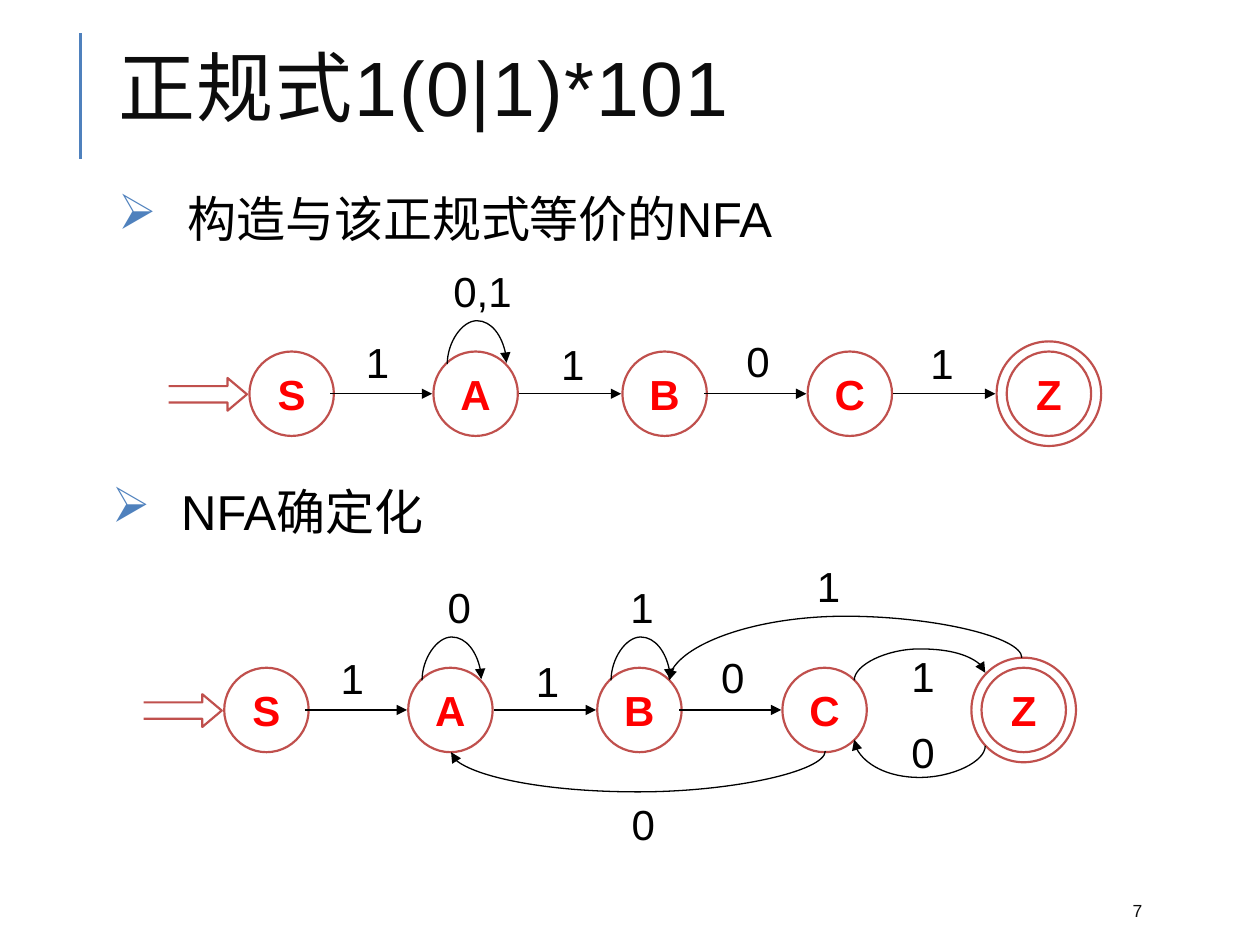
from lxml import etree
from pptx import Presentation
from pptx.dml.color import RGBColor
from pptx.enum.shapes import MSO_CONNECTOR, MSO_SHAPE
from pptx.enum.text import MSO_ANCHOR, PP_ALIGN
from pptx.oxml.ns import qn
from pptx.util import Inches, Pt

STRAIGHT, CURVE = MSO_CONNECTOR.STRAIGHT, MSO_CONNECTOR.CURVE
OVAL, ARROW, RECT = MSO_SHAPE.OVAL, MSO_SHAPE.RIGHT_ARROW, MSO_SHAPE.RECTANGLE
MIDDLE, TOP = MSO_ANCHOR.MIDDLE, MSO_ANCHOR.TOP
CENTER, LEFT = PP_ALIGN.CENTER, PP_ALIGN.LEFT

WIDTH, HEIGHT = 10, 7.5
BLUE, BRICK, RED, BLACK, INK, WHITE = "4F81BD", "C0504D", "FF0000", "000000", "0D0D0D", "FFFFFF"
SIZE, RING_GAP, ARROW_LENGTH = 0.67, 0.08, 0.81
STATES = {"S": 0, "A": 1.46, "B": 2.96, "C": 4.43, "Z": 6.01}
STEP_LABELS = [("1", 1.0, 0.08), ("1", 2.55, 0.1), ("0", 4.02, 0.07)]


def color(value):
    """Turn a hex string into a colour."""
    return RGBColor.from_string(value)


def write(box, text, size, ink, align=LEFT, anchor=TOP, bold=False):
    """Write one paragraph into a shape and return it."""
    frame = box.text_frame
    frame.vertical_anchor = anchor
    para = frame.paragraphs[0]
    para.text = text
    para.alignment = align
    font = para.font
    font.name, font.size, font.bold = "Arial", Pt(size), bold
    font.color.rgb = color(ink)
    return para


def add_text(parent, box, text, size, ink, **style):
    """Add a wrapping text box and return its paragraph."""
    shape = parent.shapes.add_textbox(*map(Inches, box))
    shape.text_frame.word_wrap = True
    return write(shape, text, size, ink, **style)


def add_outline(parent, kind, box, line=BRICK):
    """Add a white preset shape with an optional outline."""
    shape = parent.shapes.add_shape(kind, *map(Inches, box))
    shape.shadow.inherit = False
    shape.fill.solid()
    shape.fill.fore_color.rgb = color(WHITE)
    if line:
        shape.line.color.rgb = color(line)
        shape.line.width = Pt(1.25)
    else:
        shape.line.fill.background()
    return shape


def add_line(parent, kind, ends, ink=BLACK, width=0.75, head=True):
    """Add a connector, with an arrowhead if wanted."""
    line = parent.shapes.add_connector(kind, *map(Inches, ends))
    line.line.color.rgb = color(ink)
    line.line.width = Pt(width)
    if head:
        etree.SubElement(line.line._get_or_add_ln(), qn("a:tailEnd"), type="triangle")
    etree.SubElement(line._element.spPr, qn("a:effectLst"))
    return line


def add_arc(parent, start, end, peak):
    """Add a curved arrow that leaves and arrives vertically, turning at the peak height."""
    (x1, y1), (x2, y2) = start, end
    run, rise = abs(x2 - x1), abs(y2 - y1)
    left, top = (x1 + x2 - rise) / 2, (y1 + y2 - run) / 2
    arc = add_line(parent, CURVE, (left, top, left + rise, top + run))
    frame = arc._element.spPr.find(qn("a:xfrm"))
    frame.set("rot", "5400000")
    if y2 < y1:
        frame.set("flipH", "1")
    if x2 > x1:
        frame.set("flipV", "1")
    bend = round((peak - y1) / (y2 - y1) * 100000)
    guides = arc._element.spPr.find(qn("a:prstGeom")).find(qn("a:avLst"))
    etree.SubElement(guides, qn("a:gd"), name="adj1", fmla=f"val {bend}")


def add_heading(page, left, top, text):
    """Place the title beside its vertical rule."""
    add_line(page, STRAIGHT, (left, top + 1, left, top), BLUE, 1.5, head=False)
    para = add_text(page, (left + 0.2, top, 0.85 * WIDTH, 0.98), text, 44, INK, anchor=MIDDLE)
    para.line_spacing = 0.8
    para.runs[0].font._element.set("spc", "100")


def add_bullet(page, left, top, text):
    """Place one bulleted line."""
    para = add_text(page, (left, top, 0.85 * WIDTH, 0.1 * HEIGHT), text, 28, BLACK)
    props = para._p.get_or_add_pPr()
    props.set("marL", str(Inches(0.55)))
    props.set("indent", str(Inches(-0.55)))
    tint = etree.Element(qn("a:buClr"))
    etree.SubElement(tint, qn("a:srgbClr"), val=BLUE)
    mark = etree.Element(qn("a:buChar"), char="➢")
    props.insert(0, tint)
    props.insert(1, mark)


def add_automaton(page, left, top, labels, loops, arcs):
    """Place a five-state automaton whose first state starts at left, top."""
    group = page.shapes.add_group_shape()
    entry = add_outline(group, ARROW, (left - 0.77, top + 0.21, 0.75, 0.26))
    entry.adjustments[0], entry.adjustments[1] = 0.5, 0.593
    add_outline(group, RECT, (left - 0.8, top + 0.23, 0.16, 0.21), line=None)

    for name, offset in STATES.items():
        x, edge, y = left + offset, left + offset, top + SIZE / 2
        if name == "Z":
            edge -= RING_GAP
            ring = SIZE + 2 * RING_GAP
            add_outline(group, OVAL, (edge, top - RING_GAP, ring, ring))
        state = add_outline(group, OVAL, (x, top, SIZE, SIZE))
        state.text_frame.word_wrap = False
        write(state, name, 24, RED, align=CENTER, anchor=MIDDLE, bold=True)
        if name != "S" and not (name == "Z" and arcs):
            tip = edge - 0.01
            add_line(group, STRAIGHT, (tip - ARROW_LENGTH, y, tip, y))

    turns = [((STATES[name] + 0.11, 0.1), (STATES[name] + 0.58, 0.09), -0.25) for name in loops]
    for start, end, peak in turns + arcs:
        add_arc(group, (left + start[0], top + start[1]), (left + end[0], top + end[1]), top + peak)
    for text, x, y in STEP_LABELS + labels:
        width = 0.35 if len(text) == 1 else 0.69
        add_text(group, (left + x - width / 2, top + y - 0.25, width, 0.5),
                 text, 24, BLACK, align=CENTER)


def main():
    """Build the slide and save it."""
    deck = Presentation()
    deck.slide_width, deck.slide_height = Inches(WIDTH), Inches(HEIGHT)
    page = deck.slides.add_slide(deck.slide_layouts[6])
    add_heading(page, 0.64, 0.26, "正规式1(0|1)*101")
    add_bullet(page, 0.84, 1.45, "构造与该正规式等价的NFA")
    add_automaton(page, 1.98, 2.79, [("0,1", 1.85, -0.48), ("1", 5.48, 0.09)], "A", [])
    add_bullet(page, 0.79, 3.77, "NFA确定化")
    add_automaton(
        page, 1.78, 5.3,
        [("0", 1.85, -0.48), ("1", 3.3, -0.48), ("1", 4.78, -0.65),
         ("1", 5.53, 0.06), ("0", 5.53, 0.67), ("0", 3.31, 1.24)],
        "AB",
        [((4.77, 0.66), (1.8, 0.67), 0.99),
         ((5, 0.1), (6.04, 0.04), -0.15),
         ((6.04, 0.62), (5, 0.57), 0.87),
         ((6.33, -0.08), (3.53, 0.1), -0.41)])
    add_text(page, (8.89, 7.08, 0.8, 0.3), "7", 10, INK, anchor=MIDDLE)
    deck.save("out.pptx")


if __name__ == "__main__":
    main()
